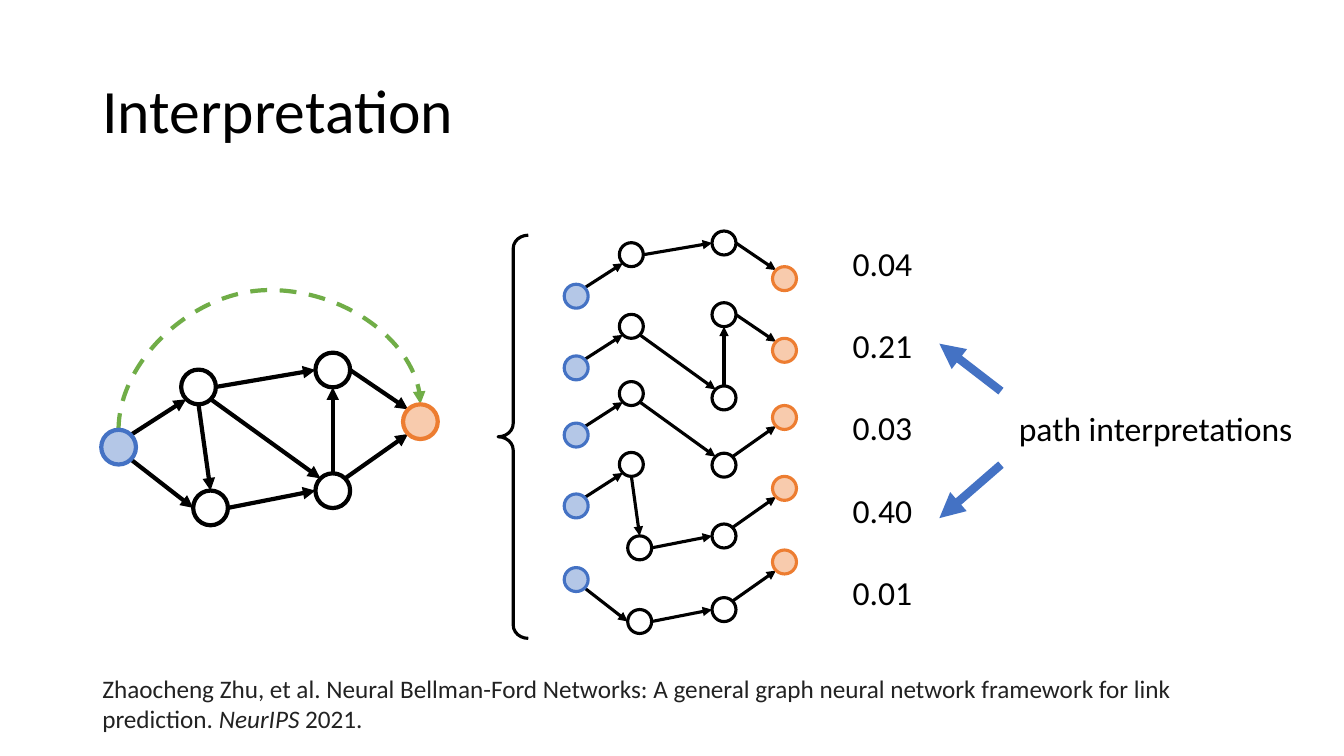
from dataclasses import dataclass

from lxml import etree
from pptx import Presentation
from pptx.dml.color import RGBColor
from pptx.enum.dml import MSO_LINE
from pptx.enum.shapes import MSO_CONNECTOR, MSO_SHAPE
from pptx.enum.text import MSO_ANCHOR, PP_ALIGN
from pptx.oxml.ns import qn
from pptx.util import Pt

STRAIGHT, CURVE = MSO_CONNECTOR.STRAIGHT, MSO_CONNECTOR.CURVE
OVAL, BRACE = MSO_SHAPE.OVAL, MSO_SHAPE.LEFT_BRACE
MIDDLE, LEFT, DASH = MSO_ANCHOR.MIDDLE, PP_ALIGN.LEFT, MSO_LINE.DASH
TITLE_ONLY = 5


@dataclass(frozen=True)
class Theme:
    font: str = "Calibri"
    title_size: float = 44
    label_size: float = 24
    citation_size: float = 18
    black: str = "000000"
    white: str = "FFFFFF"
    citation: str = "222222"
    blue: str = "4472C4"
    pale_blue: str = "B4C7E7"
    orange: str = "ED7D31"
    pale_orange: str = "F8CBAD"
    green: str = "70AD47"


THEME = Theme()

# Node centres of the full graph, in points from the source node
NODES = {
    "source": (0, 0),
    "a": (57.1, -43),
    "b": (153, -55.1),
    "c": (65.7, 43.4),
    "d": (153, 31.1),
    "target": (215.6, -18.2),
}
NODE_COLOURS = {
    "source": (THEME.pale_blue, THEME.blue),
    "target": (THEME.pale_orange, THEME.orange),
}
DIAMETER = 24.8

# Directions from a node's centre to the places where edges meet its rim
DIAGONAL = 0.71
SIDES = {
    "top": (0, -1), "bottom": (0, 1), "left": (-1, 0), "right": (1, 0),
    "top left": (-DIAGONAL, -DIAGONAL), "top right": (DIAGONAL, -DIAGONAL),
    "bottom left": (-DIAGONAL, DIAGONAL), "bottom right": (DIAGONAL, DIAGONAL),
}
EDGES = {
    ("source", "a"): ("top right", "bottom left"),
    ("source", "c"): ("bottom right", "left"),
    ("a", "b"): ("right", "left"),
    ("a", "c"): ("bottom", "top"),
    ("a", "d"): ("bottom right", "top left"),
    ("c", "d"): ("right", "left"),
    ("d", "b"): ("top", "bottom"),
    ("b", "target"): ("right", "top left"),
    ("d", "target"): ("top right", "bottom left"),
}

GRAPH_ORIGIN = (84.7, 319.4)
PATH_LEFT, PATH_SCALE = 411.6, 0.69
# Height of the source node, inner nodes, weight
PATHS = [
    (211.6, "ab", "0.04"),
    (262.8, "adb", "0.21"),
    (310.8, "ad", "0.03"),
    (361.4, "acd", "0.40"),
    (414, "cd", "0.01"),
]
WEIGHT_LEFT, WEIGHT_TOP, WEIGHT_STEP = 602, 170, 58.7


def colour(code):
    return RGBColor.from_string(code)


def format_span(span, size, code, italic=False):
    span.font.name = THEME.font
    span.font.size = Pt(size)
    span.font.color.rgb = colour(code)
    span.font.italic = italic


def add_text(page, place, spans, size, code):
    box = page.shapes.add_textbox(*map(Pt, place))
    box.text_frame.word_wrap = True
    para = box.text_frame.paragraphs[0]
    for text, italic in spans:
        span = para.add_run()
        span.text = text
        format_span(span, size, code, italic)


def add_label(page, place, text):
    add_text(page, place, [(text, False)], THEME.label_size, THEME.black)


def add_arrow(shapes, start, end, code, width, kind=STRAIGHT):
    arrow = shapes.add_connector(kind, *map(Pt, (*start, *end)))
    arrow.line.color.rgb = colour(code)
    arrow.line.width = Pt(width)
    line = arrow.line._get_or_add_ln()
    etree.SubElement(line, qn("a:tailEnd"), type="triangle")
    etree.SubElement(arrow._element.spPr, qn("a:effectLst"))
    return arrow


def add_outlined(shapes, kind, place, code, width, fill=None):
    shape = shapes.add_shape(kind, *map(Pt, place))
    shape.shadow.inherit = False
    if fill:
        shape.fill.solid()
        shape.fill.fore_color.rgb = colour(fill)
    else:
        shape.fill.background()
    shape.line.color.rgb = colour(code)
    shape.line.width = Pt(width)
    return shape


def add_graph(page, origin, names, edges, scale, width):
    shapes = page.shapes.add_group_shape().shapes
    radius = DIAMETER * scale / 2
    centres = {name: tuple(base + scale * offset
                           for base, offset in zip(origin, NODES[name]))
               for name in names}

    def rim(name, side):
        return [centre + radius * step
                for centre, step in zip(centres[name], SIDES[side])]

    for first, second in edges:
        out_side, in_side = EDGES[first, second]
        add_arrow(shapes, rim(first, out_side), rim(second, in_side),
                  THEME.black, width)
    for name, (x, y) in centres.items():
        fill, outline = NODE_COLOURS.get(name, (THEME.white, THEME.black))
        add_outlined(shapes, OVAL,
                     (x - radius, y - radius, 2 * radius, 2 * radius),
                     outline, width, fill)


def add_arc(page, start, end, rise):
    """Draw a dashed arc that leaves start upwards and comes down on end."""
    span, drop = end[0] - start[0], start[1] - end[1]
    x, y = (start[0] + end[0]) / 2, (start[1] + end[1]) / 2
    # The frame lies on its side: a quarter turn makes it span the two ends
    arc = add_arrow(page.shapes, (x + drop / 2, y + span / 2),
                    (x - drop / 2, y - span / 2), THEME.green, 3, CURVE)
    arc.line.dash_style = DASH
    properties = arc._element.spPr
    properties.find(qn("a:xfrm")).set("rot", "5400000")
    guides = properties.find(qn("a:prstGeom")).find(qn("a:avLst"))
    etree.SubElement(guides, qn("a:gd"), name="adj1",
                     fmla=f"val {round(rise / drop * 100000)}")


def set_title(page, text):
    title = page.shapes.title
    title.left, title.top, title.width, title.height = map(
        Pt, (66, 28.8, 828, 104.4))
    title.text_frame.text = text
    title.text_frame.vertical_anchor = MIDDLE
    para = title.text_frame.paragraphs[0]
    para.alignment = LEFT
    para.line_spacing = 0.9
    format_span(para.runs[0], THEME.title_size, THEME.black)


def main():
    deck = Presentation()
    deck.slide_width, deck.slide_height = Pt(960), Pt(540)
    page = deck.slides.add_slide(deck.slide_layouts[TITLE_ONLY])
    set_title(page, "Interpretation")

    # Full graph with the predicted link
    add_arc(page, (84.7, 307.2), (300.3, 288.6), 100)
    add_graph(page, GRAPH_ORIGIN, NODES, EDGES, 1, 3)

    # Paths through the graph and their weights
    brace = add_outlined(page.shapes, BRACE, (355.8, 168, 21.6, 288),
                         THEME.black, 2.25)
    brace.adjustments[0] = 0.44
    for row, (top, inner, weight) in enumerate(PATHS):
        names = ["source", *inner, "target"]
        add_graph(page, (PATH_LEFT, top), names, zip(names, names[1:]),
                  PATH_SCALE, 2.25)
        add_label(page, (WEIGHT_LEFT, WEIGHT_TOP + row * WEIGHT_STEP, 95, 36),
                  weight)

    # Pointers to the strongest paths
    add_label(page, (720.7, 288, 211, 36), "path interpretations")
    for start_y, end_y in ((331.9, 370.1), (279.4, 245.5)):
        add_arrow(page.shapes, (715, start_y), (671, end_y), THEME.blue, 6)

    # Citation
    add_text(page, (66, 477.4, 855.4, 51),
             [("Zhaocheng Zhu, et al. Neural Bellman-Ford Networks: A general "
               "graph neural network framework for link prediction. ", False),
              ("NeurIPS", True), (" 2021.", False)],
             THEME.citation_size, THEME.citation)

    deck.save("out.pptx")


if __name__ == "__main__":
    main()
